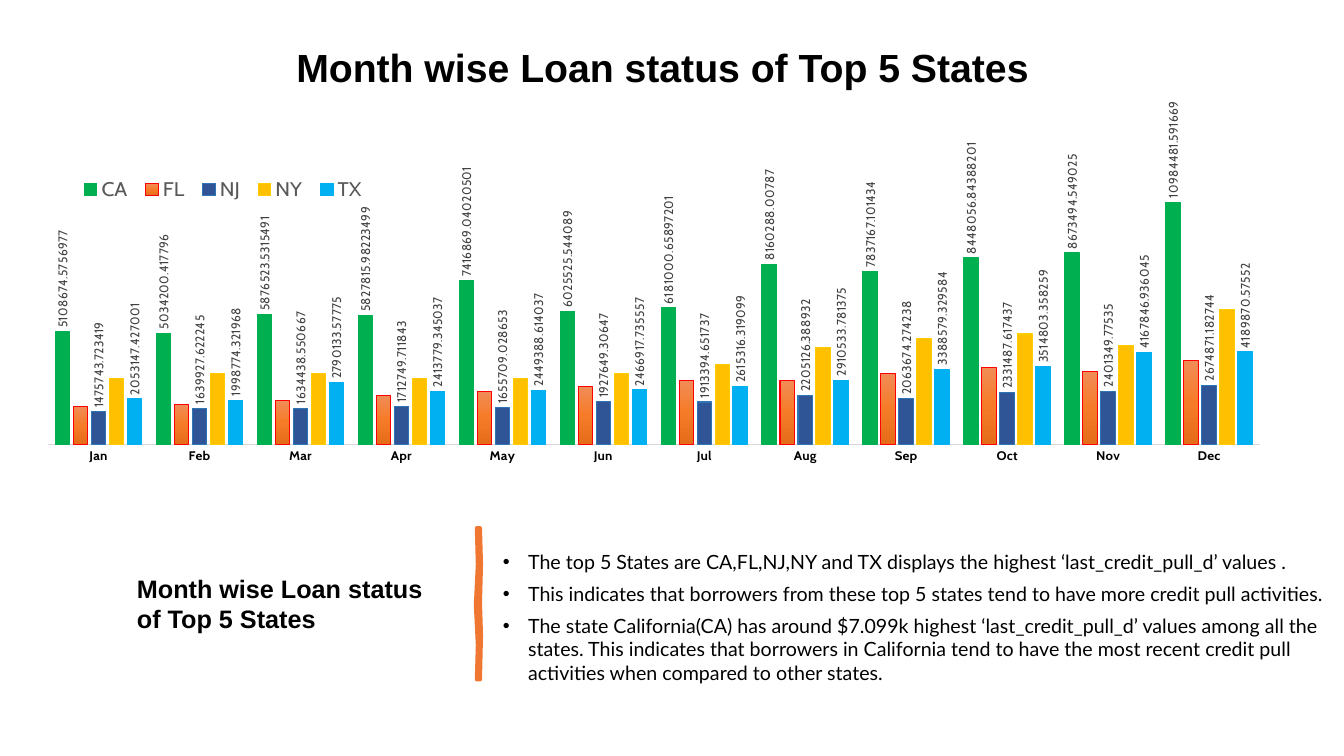
from copy import deepcopy
from dataclasses import dataclass
from typing import Any

from lxml import etree
from pptx import Presentation
from pptx.chart.data import CategoryChartData
from pptx.dml.color import RGBColor
from pptx.enum.chart import (XL_CHART_TYPE, XL_LABEL_POSITION, XL_LEGEND_POSITION,
                             XL_TICK_LABEL_POSITION, XL_TICK_MARK)
from pptx.enum.shapes import MSO_SHAPE
from pptx.enum.text import MSO_ANCHOR
from pptx.oxml import parse_xml
from pptx.oxml.ns import nsdecls, qn
from pptx.util import Inches, Pt

COLUMN = XL_CHART_TYPE.COLUMN_CLUSTERED
OUTSIDE_END = XL_LABEL_POSITION.OUTSIDE_END
LEGEND_TOP = XL_LEGEND_POSITION.TOP
NO_TICK = XL_TICK_MARK.NONE
NO_LABELS = XL_TICK_LABEL_POSITION.NONE
RECTANGLE = MSO_SHAPE.RECTANGLE
MIDDLE = MSO_ANCHOR.MIDDLE

HEADING = "Month wise Loan status of Top 5 States"
POINTS = [
    "The top 5 States are CA,FL,NJ,NY and TX displays the highest ‘last_credit_pull_d’ values .",
    "This indicates that borrowers from these top 5 states tend to have more credit pull activities.",
    "The state California(CA) has around $7.099k highest ‘last_credit_pull_d’ values among all the "
    "states. This indicates that borrowers in California tend to have the most recent credit pull "
    "activities when compared to other states.",
]
MONTHS = ["Jan", "Feb", "Mar", "Apr", "May", "Jun", "Jul", "Aug", "Sep", "Oct", "Nov", "Dec"]
BRUSH_OUTLINE = [(4.73, 5.24), (4.76, 5.24), (4.77, 5.6), (4.76, 5.98), (4.77, 6.3), (4.76, 6.74),
                 (4.73, 6.74), (4.74, 6.4), (4.72, 6.0), (4.74, 5.6)]


@dataclass(frozen=True)
class Box:
    left: float
    top: float
    width: float
    height: float

    def lengths(self) -> list[int]:
        return [Inches(value) for value in (self.left, self.top, self.width, self.height)]


@dataclass(frozen=True)
class TextStyle:
    name: str
    size: float
    color: str = "000000"
    bold: bool = False


@dataclass(frozen=True)
class State:
    name: str
    fill: tuple[str, ...]
    line: str
    labelled: bool
    values: list[float]


STATES = [
    State("CA", ("00B050",), "00B050", True,
          [5108674.5756977, 5034200.417796, 5876523.5315491, 5827815.98223499,
           7416869.04020501, 6025525.544089, 6181000.65897201, 8160288.00787,
           7837167.101434, 8448056.84388201, 8673494.549025, 10984481.591669]),
    State("FL", ("F18C57", "F67B28", "E56C19"), "FF0000", False,
          [1700000, 1800000, 2000000, 2200000, 2400000, 2600000,
           2900000, 2900000, 3200000, 3500000, 3300000, 3800000]),
    State("NJ", ("2F5597",), "2E75B6", True,
          [1475743.723419, 1639927.622245, 1634438.550667, 1712749.711843,
           1655709.028653, 1927649.30647, 1913394.651737, 2205126.388932,
           2063674.274238, 2331487.617437, 2401349.77535, 2674871.182744]),
    State("NY", ("FFC000",), "FFCC00", False,
          [3000000, 3200000, 3200000, 3000000, 3000000, 3200000,
           3600000, 4400000, 4800000, 5000000, 4500000, 6100000]),
    State("TX", ("00B0F0",), "00B0F0", True,
          [2053147.427001, 1998774.321968, 2790133.57775, 2413779.345037,
           2449388.614037, 2466917.735557, 2615316.319099, 2910533.781375,
           3388579.329584, 3514803.358259, 4167846.936045, 4189870.57552]),
]


def rgb(color: str) -> RGBColor:
    return RGBColor.from_string(color)


def set_all(target: Any, values: dict[str, Any]) -> None:
    for name, value in values.items():
        setattr(target, name, value)


def set_font(font: Any, style: TextStyle) -> None:
    set_all(font, {"name": style.name, "size": Pt(style.size), "bold": style.bold})
    font.color.rgb = rgb(style.color)


def set_fill(fill: Any, colors: tuple[str, ...]) -> None:
    """Fill solid for one colour, or as a top-down gradient for three."""
    if len(colors) == 1:
        fill.solid()
        fill.fore_color.rgb = rgb(colors[0])
        return
    fill.gradient()
    fill.gradient_angle = 270
    first_stop = fill.gradient_stops[0]._gs
    first_stop.addnext(deepcopy(first_stop))
    for index, (stop, color) in enumerate(zip(fill.gradient_stops, colors)):
        stop.position = index / (len(colors) - 1)
        stop.color.rgb = rgb(color)


def add_text(slide: Any, box: Box, lines: list[str], style: TextStyle, bulleted: bool = False) -> None:
    frame = slide.shapes.add_textbox(*box.lengths()).text_frame
    frame.word_wrap = True
    if bulleted:
        frame.vertical_anchor = MIDDLE
    for index, line in enumerate(lines):
        paragraph = frame.paragraphs[0] if index == 0 else frame.add_paragraph()
        if bulleted:
            paragraph.space_after = Pt(6)
            properties = paragraph._p.get_or_add_pPr()
            properties.set("marL", str(Inches(0.31)))
            properties.set("indent", str(Inches(-0.25)))
            etree.SubElement(properties, qn("a:buFont"), typeface="Arial")
            etree.SubElement(properties, qn("a:buChar"), char="•")
        run = paragraph.add_run()
        run.text = line
        set_font(run.font, style)


def manual_layout(box: Box, inner: bool = False) -> Any:
    """Place a chart part by fractions of the chart area."""
    settings = {"layoutTarget": "inner"} if inner else {}
    settings |= {"xMode": "edge", "yMode": "edge", "x": box.left, "y": box.top,
                 "w": box.width, "h": box.height}
    children = "".join(f'<c:{name} val="{value}"/>' for name, value in settings.items())
    return parse_xml(f'<c:layout {nsdecls("c")}><c:manualLayout>{children}</c:manualLayout></c:layout>')


def style_axes(chart: Any) -> None:
    months = chart.category_axis
    set_all(months, {"major_tick_mark": NO_TICK, "minor_tick_mark": NO_TICK})
    set_font(months.tick_labels.font, TextStyle("Cabin", 9.5, bold=True))
    months.format.line.color.rgb = rgb("D9D9D9")
    months.format.line.width = Pt(1)
    set_all(chart.value_axis, {"minimum_scale": 0, "maximum_scale": 13500000, "visible": False,
                               "has_major_gridlines": False, "tick_label_position": NO_LABELS})


def style_series(series: Any, state: State) -> None:
    set_fill(series.format.fill, state.fill)
    series.format.line.color.rgb = rgb(state.line)
    series.format.line.width = Pt(0.75)
    series.invert_if_negative = False
    if state.labelled:
        labels = series.data_labels
        set_all(labels, {"show_value": True, "position": OUTSIDE_END,
                         "number_format": "General", "number_format_is_linked": False})
        set_font(labels.font, TextStyle("Cabin", 9, "404040"))
        body = labels._element.find(qn("c:txPr")).find(qn("a:bodyPr"))
        body.set("rot", "-5400000")
        body.set("vert", "horz")


def add_state_chart(slide: Any, box: Box) -> None:
    data = CategoryChartData()
    data.categories = MONTHS
    for state in STATES:
        data.add_series(state.name, state.values)
    chart = slide.shapes.add_chart(COLUMN, *box.lengths(), data).chart
    set_font(chart.font, TextStyle("Comic Neue", 10))
    set_all(chart, {"has_title": False, "has_legend": True})
    set_all(chart.legend, {"position": LEGEND_TOP, "include_in_layout": False})
    set_font(chart.legend.font, TextStyle("Cabin", 15, "595959"))
    legend = chart.legend._element
    for layout in legend.findall(qn("c:layout")):
        legend.remove(layout)
    legend.find(qn("c:legendPos")).addnext(manual_layout(Box(0.02, 0.13, 0.24, 0.08)))
    plot = chart.plots[0]
    set_all(plot, {"gap_width": 100, "overlap": -24, "vary_by_categories": False})
    plot_area = chart._chartSpace.chart.plotArea
    for layout in plot_area.findall(qn("c:layout")):
        plot_area.remove(layout)
    plot_area.insert(0, manual_layout(Box(0, 0.05, 0.97, 0.83), inner=True))
    style_axes(chart)
    for series, state in zip(plot.series, STATES):
        style_series(series, state)
    white = '<a:solidFill><a:srgbClr val="FFFFFF"/></a:solidFill>'
    chart._chartSpace.chart.addnext(parse_xml(
        f'<c:spPr {nsdecls("c", "a")}>{white}<a:ln w="9525">{white}</a:ln></c:spPr>'))


def main() -> None:
    presentation = Presentation()
    set_all(presentation, {"slide_width": Inches(13.33), "slide_height": Inches(7.5)})
    slide = presentation.slides.add_slide(presentation.slide_layouts[6])
    backdrop = slide.shapes.add_shape(RECTANGLE, *Box(0, 0, 13.33, 7.5).lengths())
    set_fill(backdrop.fill, ("FFFFFF",))
    backdrop.line.fill.background()
    backdrop.shadow.inherit = False

    outline = [(Inches(x), Inches(y)) for x, y in BRUSH_OUTLINE]
    builder = slide.shapes.build_freeform(*outline[0])
    builder.add_line_segments(outline[1:], close=True)
    brush = builder.convert_to_shape()
    set_fill(brush.fill, ("F07732",))
    brush.line.color.rgb = rgb("F07732")
    brush.line.width = Pt(3)
    brush.shadow.inherit = False

    add_text(slide, Box(4.83, 4.97, 8.5, 2.3), POINTS, TextStyle("Lato", 14), bulleted=True)
    add_text(slide, Box(1.26, 5.64, 3.15, 0.71), [HEADING], TextStyle("Arial", 18, bold=True))
    add_state_chart(slide, Box(0.47, 1.06, 12.4, 3.78))
    add_text(slide, Box(2.84, 0.38, 7.68, 0.57), [HEADING], TextStyle("Arial", 28, bold=True))
    presentation.save("out.pptx")


if __name__ == "__main__":
    main()
